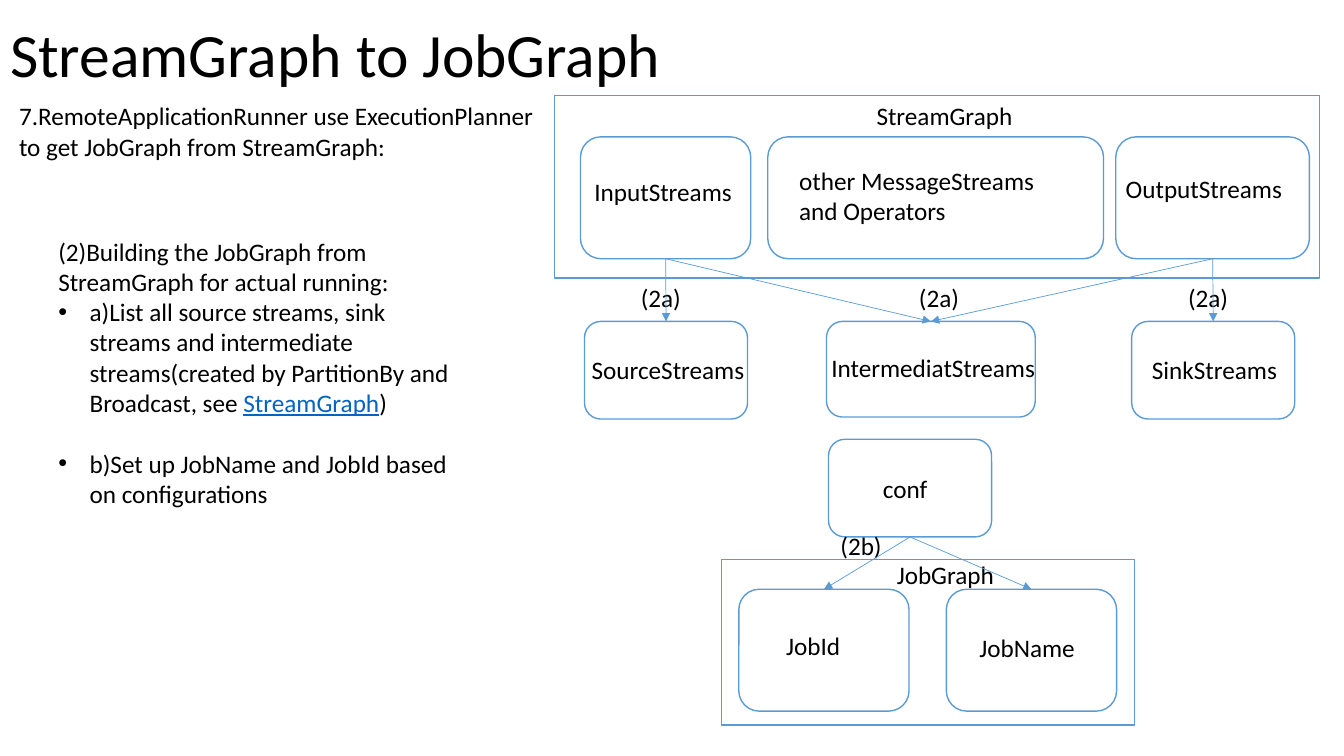
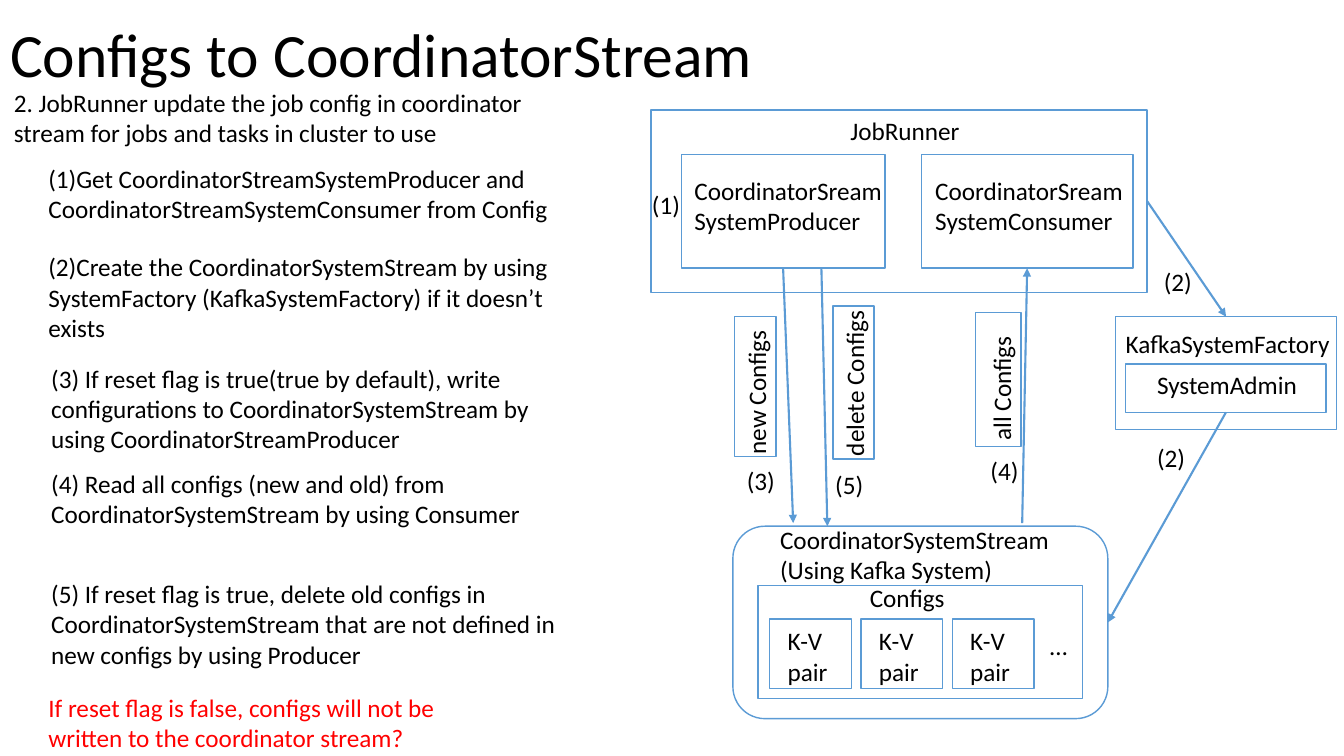
"""Build two slides on job graphs and coordinator stream configs."""
from lxml.etree import SubElement
from pptx import Presentation
from pptx.dml.color import RGBColor
from pptx.enum.shapes import MSO_CONNECTOR, MSO_SHAPE
from pptx.enum.text import MSO_ANCHOR, MSO_AUTO_SIZE, PP_ALIGN
from pptx.oxml.ns import qn
from pptx.util import Cm, Pt

COLORS = {"text": "000000", "fill": "FFFFFF", "line": "5B9BD5", "link": "0563C1", "alert": "FF0000"}
FONT = "Calibri"
RECT, ROUND = MSO_SHAPE.RECTANGLE, MSO_SHAPE.ROUNDED_RECTANGLE
TOP, BOTTOM, RIGHT = 0, 2, 3
UPWARD = 270
PAIR_LEFTS = [19.4 + 2.3 * index for index in range(3)]

# Boxes: name -> (shape, left, top, width, height[, rotation])
# Texts: (text, left, top, width[, lines[, rotation]])
SLIDES = [
    {
        "title": "StreamGraph to JobGraph",
        "boxes": {
            "StreamGraph": (RECT, 13.97, 2.41, 19.28, 4.6),
            "InputStreams": (ROUND, 14.63, 3.45, 4.29, 3.07),
            "Operators": (ROUND, 19.35, 3.45, 8.46, 3.07),
            "OutputStreams": (ROUND, 28.12, 3.45, 4.88, 3.07),
            "SourceStreams": (ROUND, 14.73, 8.1, 4.11, 2.46),
            "IntermediateStreams": (ROUND, 20.83, 8.1, 5.26, 2.41),
            "SinkStreams": (ROUND, 28.52, 8.1, 4.11, 2.46),
            "conf": (ROUND, 20.88, 11.07, 4.11, 2.46),
            "JobGraph": (RECT, 18.19, 14.1, 10.41, 4.17),
            "JobId": (ROUND, 18.62, 14.85, 4.29, 3.07),
            "JobName": (ROUND, 23.85, 14.85, 4.29, 3.07),
        },
        "texts": [
            ("7.RemoteApplicationRunner use ExecutionPlanner to get JobGraph from StreamGraph:",
             0.23, 2.41, 13.74, 2),
            ("StreamGraph", 21.84, 2.41, 5.64),
            ("InputStreams", 14.73, 4.32, 4.88),
            ("other MessageStreams and Operators", 19.89, 4.04, 7.49, 2),
            ("OutputStreams", 28.12, 4.24, 5.13),
            ("(2a)", 15.9, 6.99, 2.54),
            ("(2a)", 22.91, 6.99, 2.54),
            ("(2a)", 29.69, 6.99, 2.54),
            ("SourceStreams", 14.66, 8.81, 4.45),
            ("IntermediatStreams", 20.7, 8.76, 5.89),
            ("SinkStreams", 28.78, 8.81, 4.45),
            ("conf", 22, 11.79, 4.45),
            ("(2b)", 20.93, 13.23, 2.77),
            ("JobGraph", 22.35, 13.97, 5.64),
            ("JobId", 19.56, 15.77, 4.88),
            ("JobName", 24.43, 15.82, 4.88),
        ],
        "arrow_width": 0.5,
        "arrows": [
            (("InputStreams", BOTTOM), ("SourceStreams", TOP)),
            (("InputStreams", BOTTOM), ("IntermediateStreams", TOP)),
            (("OutputStreams", BOTTOM), ("IntermediateStreams", TOP)),
            (("OutputStreams", BOTTOM), ("SinkStreams", TOP)),
            (("conf", BOTTOM), ("JobId", TOP)),
            (("conf", BOTTOM), ("JobName", TOP)),
        ],
    },
    {
        "title": "Configs to CoordinatorStream",
        "boxes": {
            "Stream": (ROUND, 18.47, 13.26, 9.45, 4.85),
            "Configs": (RECT, 19.1, 14.76, 8.18, 2.84),
            **{f"Pair {left}": (RECT, left, 15.6, 2.06, 1.75) for left in PAIR_LEFTS},
            "JobRunner": (RECT, 16.41, 2.77, 12.5, 4.6),
            "Producer": (RECT, 17.17, 3.89, 5.13, 2.87),
            "Consumer": (RECT, 23.22, 3.89, 5.33, 2.87),
            "Factory": (RECT, 28.12, 7.98, 5.56, 2.84),
            "Admin": (RECT, 28.37, 9.17, 5.05, 1.22),
            "new Configs": (RECT, 17.27, 9.22, 3.53, 1.04, UPWARD),
            "delete Configs": (RECT, 19.58, 9.12, 3.86, 1.04, UPWARD),
            "all Configs": (RECT, 23.47, 8.99, 3.38, 1.14, UPWARD),
        },
        "texts": [
            ("2. JobRunner update the job config in coordinator stream for jobs and tasks in cluster to use",
             0.1, 2.08, 14.5, 2),
            ("(1)Get CoordinatorStreamSystemProducer and CoordinatorStreamSystemConsumer from Config",
             0.97, 3.99, 14.38, 2),
            ("(2)Create the CoordinatorSystemStream by using SystemFactory (KafkaSystemFactory) "
             "if it doesn’t exists", 0.97, 6.22, 13.28, 3),
            ("(3) If reset flag is true(true by default), write configurations to "
             "CoordinatorSystemStream by using CoordinatorStreamProducer", 1.04, 9.02, 14, 3),
            ("(4) Read all configs (new and old) from CoordinatorSystemStream by using Consumer",
             1.04, 11.68, 12.7, 2),
            ("(5) If reset flag is true, delete old configs in CoordinatorSystemStream that are "
             "not defined in new configs by using Producer", 1.04, 14.45, 14.3, 3),
            ("JobRunner", 21.18, 2.77, 4.6),
            ("(1)", 16.18, 4.65, 1.42),
            ("CoordinatorSreamSystemProducer", 17.25, 4.29, 5.38, 2),
            ("CoordinatorSreamSystemConsumer", 23.32, 4.29, 5.33, 2),
            ("KafkaSystemFactory", 28.12, 8.15, 6.2),
            ("SystemAdmin", 28.91, 9.19, 4.32),
            ("(2)", 29.08, 6.58, 2.31),
            ("(2)", 28.91, 11.02, 2.31),
            ("new Configs", 17.09, 9.22, 3.94, 1, UPWARD),
            ("delete Configs", 19.2, 8.89, 4.67, 1, UPWARD),
            ("all Configs", 23.42, 9.02, 3.63, 1, UPWARD),
            ("(3)", 18.57, 11.61, 1.3),
            ("(5)", 20.8, 11.71, 1.32),
            ("(4)", 24.71, 11.35, 1.27),
            ("CoordinatorSystemStream\n(Using Kafka System)", 19.41, 13.08, 7.57, 2),
            ("Configs", 21.67, 14.55, 3.05),
            *[("K-V pair", left + 0.2, 15.64, 1.96, 2) for left in PAIR_LEFTS],
            ("…", 26.21, 15.75, 0.89),
        ],
        "arrow_width": 1.5,
        "arrows": [
            (("Producer", BOTTOM), (19.99, 13.18)),
            ((20.7, 6.76), (20.85, 13.26)),
            ((25.76, 13.18), ("Consumer", BOTTOM)),
            (("JobRunner", RIGHT), ("Factory", TOP)),
            (("Admin", BOTTOM), ("Stream", RIGHT)),
        ],
    },
]
BUILDING = ("(2)Building the JobGraph from StreamGraph for actual running:", 1.22, 5.82, 10.36, 9)
STEPS = [
    [("a)List all source streams, sink streams and intermediate streams(created by PartitionBy "
      "and Broadcast, see ", "text"), ("StreamGraph", "link"), (")", "text")],
    [("b)Set up JobName and JobId based on configurations", "text")],
]
WARNING = ("If reset flag is false, configs will not be written to the coordinator stream?",
           0.97, 17.32, 11.05, 2)


def rgb(name):
    return RGBColor.from_string(COLORS[name])


def add_run(paragraph, text, color="text", size=18):
    run = paragraph.add_run()
    run.text = text
    run.font.name, run.font.size = FONT, Pt(size)
    run.font.color.rgb = rgb(color)
    if color == "link":
        run.font.underline = True


def add_text(slide, text, left, top, width, lines=1, rotation=0, color="text"):
    height = 0.26 + 0.77 * lines
    shape = slide.shapes.add_textbox(Cm(left), Cm(top), Cm(width), Cm(height))
    shape.rotation = rotation
    frame = shape.text_frame
    frame.word_wrap = True
    frame.auto_size = MSO_AUTO_SIZE.SHAPE_TO_FIT_TEXT
    for index, line in enumerate(text.split("\n")):
        paragraph = frame.add_paragraph() if index else frame.paragraphs[0]
        add_run(paragraph, line, color)
    return frame


def add_bullet(frame, runs, space_before):
    paragraph = frame.add_paragraph()
    properties = paragraph._p.get_or_add_pPr()
    properties.set("marL", str(Cm(0.79)))
    properties.set("indent", str(-Cm(0.79)))
    SubElement(properties, qn("a:buFont"), typeface="Arial")
    SubElement(properties, qn("a:buChar"), char="•")
    paragraph.space_before = Pt(space_before)
    for text, color in runs:
        add_run(paragraph, text, color)


def add_title(slide, text):
    title = slide.shapes.title
    title.left, title.top, title.width, title.height = Cm(0), Cm(-0.38), Cm(29.2), Cm(3.68)
    frame = title.text_frame
    frame.auto_size = MSO_AUTO_SIZE.NONE
    frame.vertical_anchor = MSO_ANCHOR.MIDDLE
    paragraph = frame.paragraphs[0]
    paragraph.alignment = PP_ALIGN.LEFT
    paragraph.line_spacing = 0.9
    add_run(paragraph, text, size=44)


def add_box(slide, kind, left, top, width, height, rotation=0):
    shape = slide.shapes.add_shape(kind, Cm(left), Cm(top), Cm(width), Cm(height))
    shape.rotation = rotation
    shape.shadow.inherit = False
    shape.fill.solid()
    shape.fill.fore_color.rgb = rgb("fill")
    shape.line.color.rgb = rgb("line")
    shape.line.width = Pt(1)
    return shape


def add_arrow(slide, boxes, start, end, width):
    points = [(0, 0) if point[0] in boxes else point for point in (start, end)]
    arrow = slide.shapes.add_connector(
        MSO_CONNECTOR.STRAIGHT, *[Cm(value) for point in points for value in point])
    for point, connect in ((start, arrow.begin_connect), (end, arrow.end_connect)):
        if point[0] in boxes:
            connect(boxes[point[0]], point[1])
    arrow.line.color.rgb = rgb("line")
    arrow.line.width = Pt(width)
    SubElement(arrow.line._get_or_add_ln(), qn("a:tailEnd"), type="triangle")
    SubElement(arrow._element.spPr, qn("a:effectLst"))


def add_slide(presentation, content):
    slide = presentation.slides.add_slide(presentation.slide_layouts[5])
    add_title(slide, content["title"])
    boxes = {name: add_box(slide, *box) for name, box in content["boxes"].items()}
    for text in content["texts"]:
        add_text(slide, *text)
    for start, end in content["arrows"]:
        add_arrow(slide, boxes, start, end, content["arrow_width"])
    return slide


def main():
    presentation = Presentation()
    presentation.slide_width, presentation.slide_height = Cm(33.87), Cm(19.05)
    graph_slide, config_slide = [add_slide(presentation, content) for content in SLIDES]
    frame = add_text(graph_slide, *BUILDING)
    for index, runs in enumerate(STEPS):
        add_bullet(frame, runs, space_before=22 * index)
    add_text(config_slide, *WARNING, color="alert")
    presentation.save("out.pptx")


if __name__ == "__main__":
    main()
